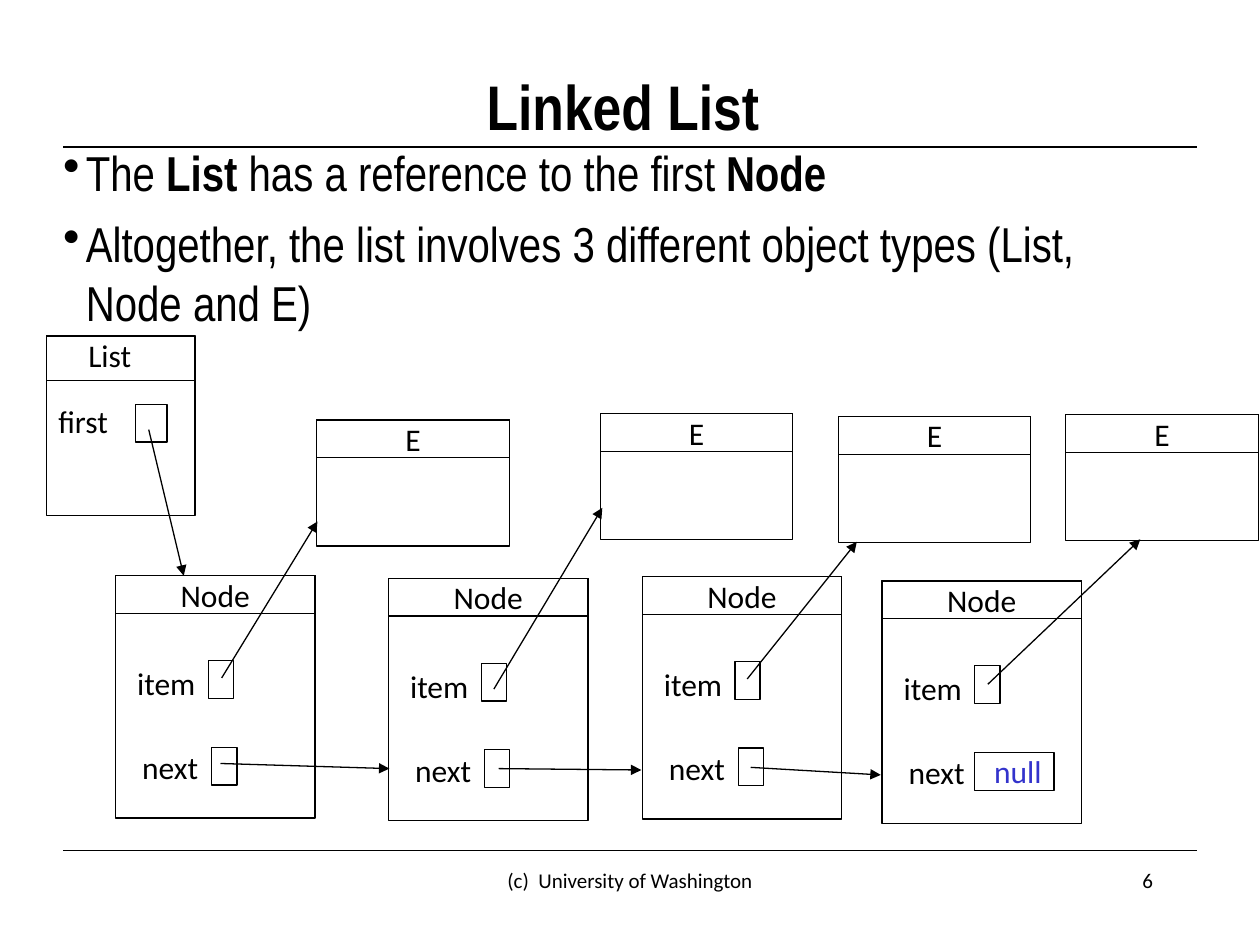
from lxml.etree import SubElement
from pptx import Presentation
from pptx.dml.color import RGBColor
from pptx.enum.shapes import MSO_CONNECTOR, MSO_SHAPE
from pptx.enum.text import MSO_ANCHOR, PP_ALIGN
from pptx.oxml.ns import qn
from pptx.util import Pt

BLACK, BLUE = "000000", "3333CC"
HEAD = 21.6
NODES = [(66, 329), (222, 330.5), (367, 329.5), (504, 332)]
ITEMS = [(181, 240), (343, 236.5), (479, 238), (609, 237)]
ITEM_ARROWS = [
    (126.7, 387.4, 181.4, 298),
    (282.2, 393.8, 344.2, 290.2),
    (427, 388, 489.6, 309.6),
    (564.5, 391, 651.6, 308.2),
]
NEXT_ARROWS = [
    (126, 436.3, 222.5, 439.2),
    (285, 439.2, 366.5, 440),
    (429, 438.5, 503.3, 442.8),
]
POINTS = [
    [("The ", False), ("List", True), (" has a reference to the first ", False), ("Node", True)],
    [("Altogether, the list involves 3 different object types (List, Node and E)", False)],
]


def paint(target, color):
    target.rgb = RGBColor.from_string(color)


class Board:
    face, size, width = "Calibri", 18, 0.75

    def __init__(self, slide):
        self.slide = slide

    def font(self, run, size, face, color=BLACK, bold=False):
        run.font.size, run.font.name, run.font.bold = Pt(size), face, bold
        paint(run.font.color, color)

    def put(self, frame, words, size=size, face=face, color=BLACK,
            bold=False, align=PP_ALIGN.CENTER):
        frame.text = words
        line = frame.paragraphs[0]
        line.alignment = align
        self.font(line.runs[0], size, face, color, bold)

    def inset(self, frame, side, edge):
        frame.margin_left = frame.margin_right = Pt(side)
        frame.margin_top = frame.margin_bottom = Pt(edge)

    def text(self, x, y, w, h, words="", wrap=True, **style):
        frame = self.slide.shapes.add_textbox(Pt(x), Pt(y), Pt(w), Pt(h)).text_frame
        frame.word_wrap = wrap
        self.inset(frame, 7.2, 3.6)
        if words:
            self.put(frame, words, **style)
        return frame

    def label(self, x, y, w, words):
        self.inset(self.text(x, y, w, HEAD, words, wrap=False), 0, 0)

    def box(self, x, y, w, h, words="", color=BLACK):
        shape = self.slide.shapes.add_shape(MSO_SHAPE.RECTANGLE, Pt(x), Pt(y), Pt(w), Pt(h))
        shape.shadow.inherit = False
        shape.fill.background()
        paint(shape.line.color, BLACK)
        shape.line.width = Pt(self.width)
        if words:
            frame = shape.text_frame
            frame.vertical_anchor = MSO_ANCHOR.TOP
            self.inset(frame, 0, 0)
            self.put(frame, words, color=color)
        return shape

    def line(self, x1, y1, x2, y2, arrow=False):
        link = self.slide.shapes.add_connector(
            MSO_CONNECTOR.STRAIGHT, Pt(x1), Pt(y1), Pt(x2), Pt(y2))
        paint(link.line.color, BLACK)
        link.line.width = Pt(self.width)
        props = link.element.spPr
        if arrow:
            SubElement(props.find(qn("a:ln")), qn("a:tailEnd"), type="triangle")
        SubElement(props, qn("a:effectLst"))

    def bullets(self, x, y, w, h, points):
        frame = self.text(x, y, w, h)
        for i, parts in enumerate(points):
            para = frame.add_paragraph() if i else frame.paragraphs[0]
            props = para._p.get_or_add_pPr()
            props.set("marL", str(Pt(13)))
            props.set("indent", str(-Pt(13)))
            SubElement(props, qn("a:buChar"), char="•")
            if i:
                para.space_before = Pt(7)
            for words, bold in parts:
                run = para.add_run()
                run.text = words
                self.font(run, 28, "Arial Narrow", bold=bold)

    def node(self, x, y, last):
        self.box(x, y, 114, 138.5)
        self.box(x, y, 114, HEAD, "Node")
        self.label(x + 12.5, y + 98.5, 37.5, "next")
        self.label(x + 10, y + 50.5, 38, "item")
        self.box(x + 53, y + 48.5, 14.4, HEAD)
        if last:
            null = self.box(x + 53, y + 98, 45.4, HEAD, "null", BLUE)
            null.text_frame.margin_left = Pt(4)
        else:
            self.box(x + 55, y + 98, 14.4, HEAD)

    def item(self, x, y):
        self.box(x, y, 110, HEAD, "E")
        self.box(x, y, 110, 72)

    def list(self, x, y):
        self.box(x, y, 85, 102.5)
        self.box(x, y, 85, 25.5)
        self.label(x + 21.5, y, 29.5, "List")
        self.box(x + 51, y + 39, 18, HEAD)
        self.label(x + 4.5, y + 37.5, 33, "first")


def main():
    deck = Presentation()
    deck.slide_width, deck.slide_height = Pt(720), Pt(540)
    board = Board(deck.slides.add_slide(deck.slide_layouts[6]))

    for y in (84, 486):
        board.line(36, y, 684, y)
    title = board.text(32, 36, 648, 48, "Linked List", size=36, face="Arial Narrow", bold=True)
    title.vertical_anchor = MSO_ANCHOR.MIDDLE
    board.bullets(29, 78, 648, 384, POINTS)

    for x, y in NODES:
        board.node(x, y, last=(x, y) == NODES[-1])
    for x, y in ITEMS:
        board.item(x, y)
    board.list(26.5, 192)
    for ends in ITEM_ARROWS + NEXT_ARROWS + [(85, 245.5, 105, 329)]:
        board.line(*ends, arrow=True)

    board.text(246, 492, 228, 36, "(c)  University of Washington", size=12)
    board.text(516, 492, 150, 36, "6", size=12, align=PP_ALIGN.RIGHT)
    deck.save("out.pptx")


if __name__ == "__main__":
    main()
